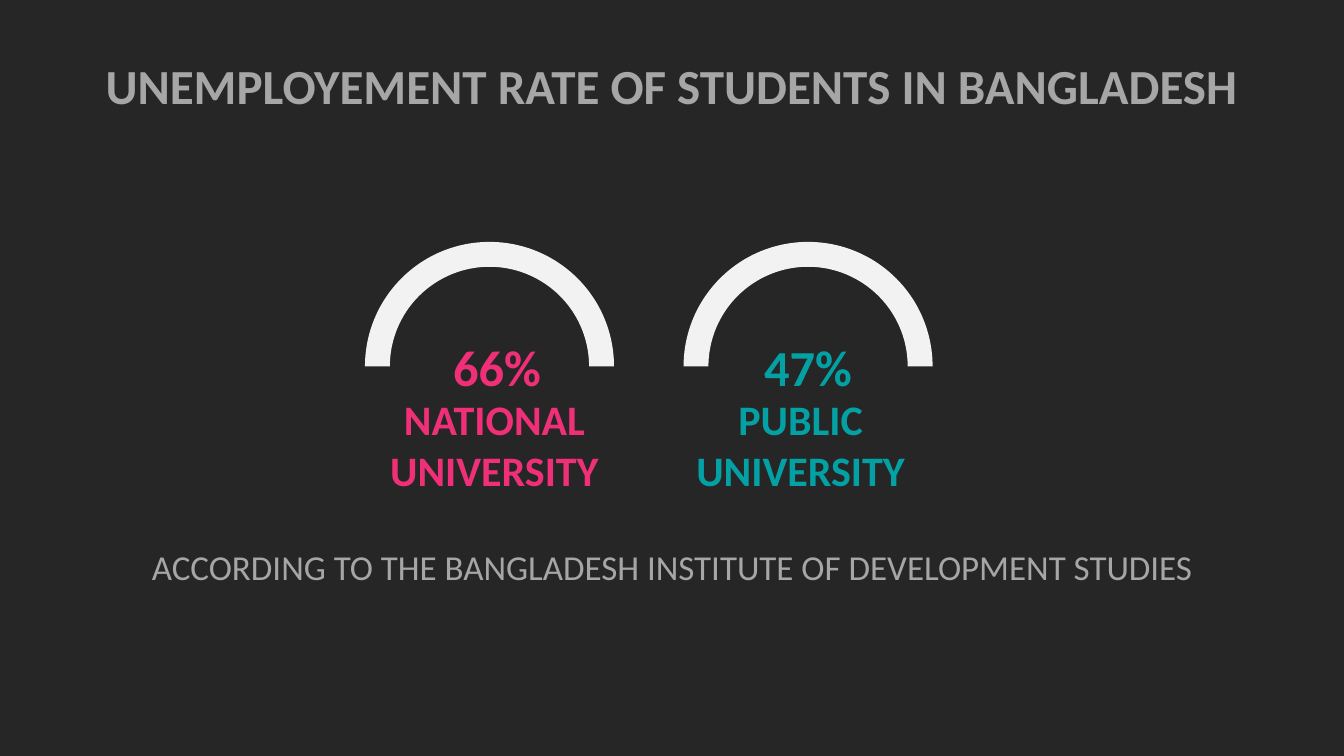
from pptx import Presentation
from pptx.dml.color import RGBColor
from pptx.enum.shapes import MSO_SHAPE
from pptx.enum.text import MSO_ANCHOR, MSO_AUTO_SIZE, PP_ALIGN
from pptx.util import Inches, Pt

ARC = MSO_SHAPE.BLOCK_ARC
TOP = MSO_ANCHOR.TOP
FIXED = MSO_AUTO_SIZE.NONE
CENTER = PP_ALIGN.CENTER

DARK = RGBColor(0x26, 0x26, 0x26)
LIGHT = RGBColor(0xF2, 0xF2, 0xF2)
GREY = RGBColor(0xA6, 0xA6, 0xA6)
PINK = RGBColor(0xEF, 0x30, 0x78)
TEAL = RGBColor(0x03, 0xA1, 0xA4)

WIDE, HIGH = 13.33, 7.5
SIDE = 2.47  # gauge width and height
LEFT, STEP, LEVEL = 3.62, 3.16, 2.4

# rate, name, colour, shift of the rate, shift of the name (shares of SIDE)
GAUGES = [
    ("66%", "NATIONAL UNIVERSITY", PINK, 0.03, 0.02),
    ("47%", "PUBLIC UNIVERSITY", TEAL, 0, -0.03),
]


def place(shape, x, y, w, h):
    shape.left, shape.top = Inches(x), Inches(y)
    shape.width, shape.height = Inches(w), Inches(h)


def write(shape, text, size, color, bold=False):
    frame = shape.text_frame
    frame.word_wrap = True
    frame.auto_size = FIXED
    frame.vertical_anchor = TOP
    frame.text = text
    line = frame.paragraphs[0]
    line.alignment = CENTER
    line.space_before = Pt(0)
    font = line.font
    font.name, font.size, font.bold = "Calibri", Pt(size), bold
    font.color.rgb = color


def label(slide, box, text, **style):
    write(slide.shapes.add_textbox(*map(Inches, box)), text, **style)


def gauge(slide, x, y, side, rate, name, color, shift, slide_by):
    """Draw a half ring with its rate and name in a square box."""
    ring = slide.shapes.add_shape(ARC, *map(Inches, (x, y, side, side)))
    ring.adjustments[2] = 0.1
    ring.shadow.inherit = False
    ring.fill.solid()
    ring.fill.fore_color.rgb = LIGHT
    ring.line.fill.background()
    label(slide, (x + shift * side, y + 0.36 * side, side, 0.29 * side),
          rate, size=36, color=color, bold=True)
    label(slide, (x + slide_by * side, y + 0.59 * side, side, 0.45 * side),
          name, size=30, color=color, bold=True)


def heads(slide):
    """Fill the title and the source line, both as wide as the slide."""
    title, source = slide.placeholders
    place(title, 0, 0.5, WIDE, 0.69)
    write(title, "UNEMPLOYEMENT RATE OF STUDENTS IN BANGLADESH",
          size=35, color=GREY, bold=True)
    place(source, 0, 5.36, WIDE, 0.52)
    write(source,
          "ACCORDING TO THE BANGLADESH INSTITUTE OF DEVELOPMENT STUDIES",
          size=25, color=GREY)


def main():
    deck = Presentation()
    deck.slide_width, deck.slide_height = Inches(WIDE), Inches(HIGH)
    slide = deck.slides.add_slide(deck.slide_layouts[0])
    slide.background.fill.solid()
    slide.background.fill.fore_color.rgb = DARK
    heads(slide)
    for i, item in enumerate(GAUGES):
        gauge(slide, LEFT + i * STEP, LEVEL, SIDE, *item)
    deck.save("out.pptx")


if __name__ == "__main__":
    main()
